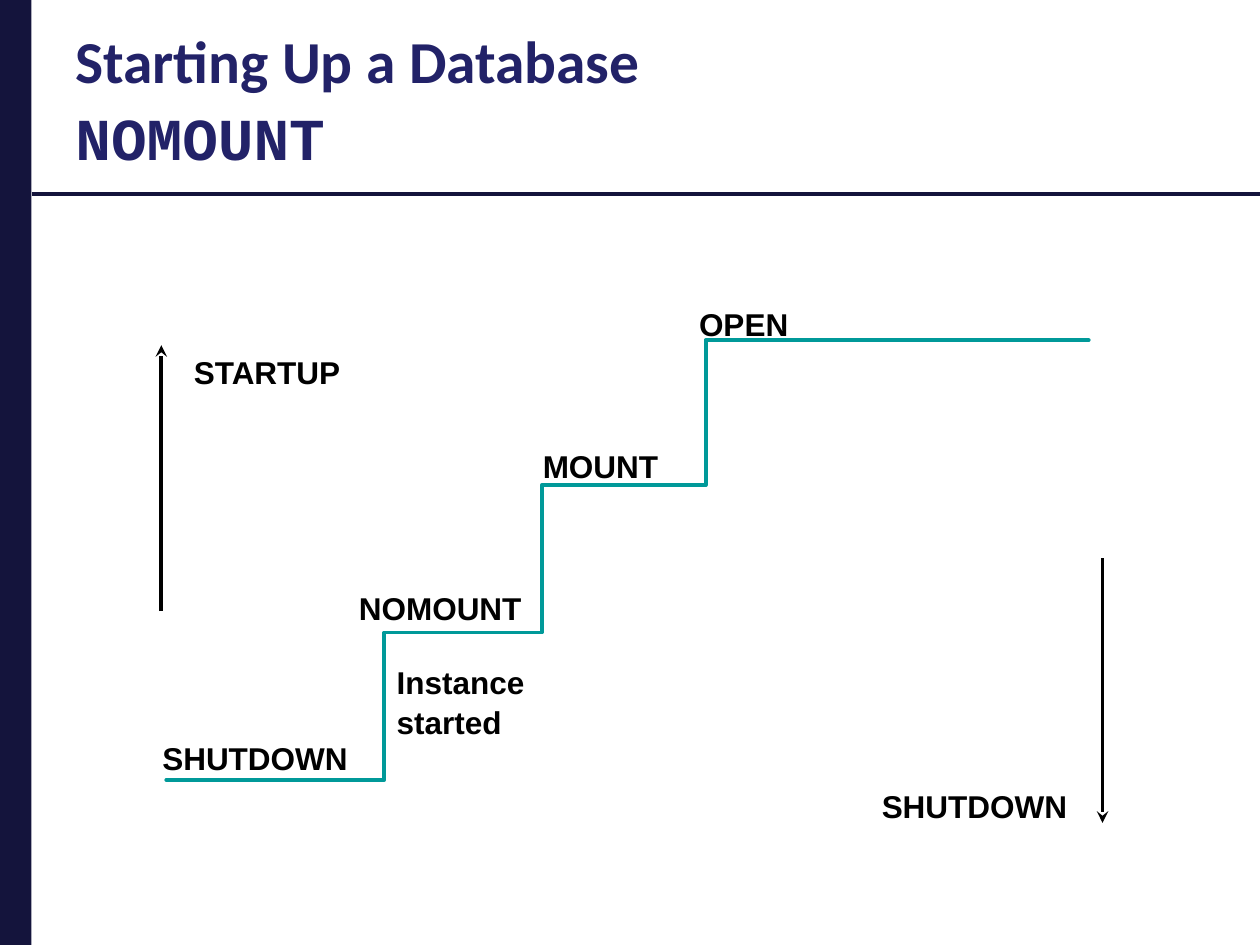
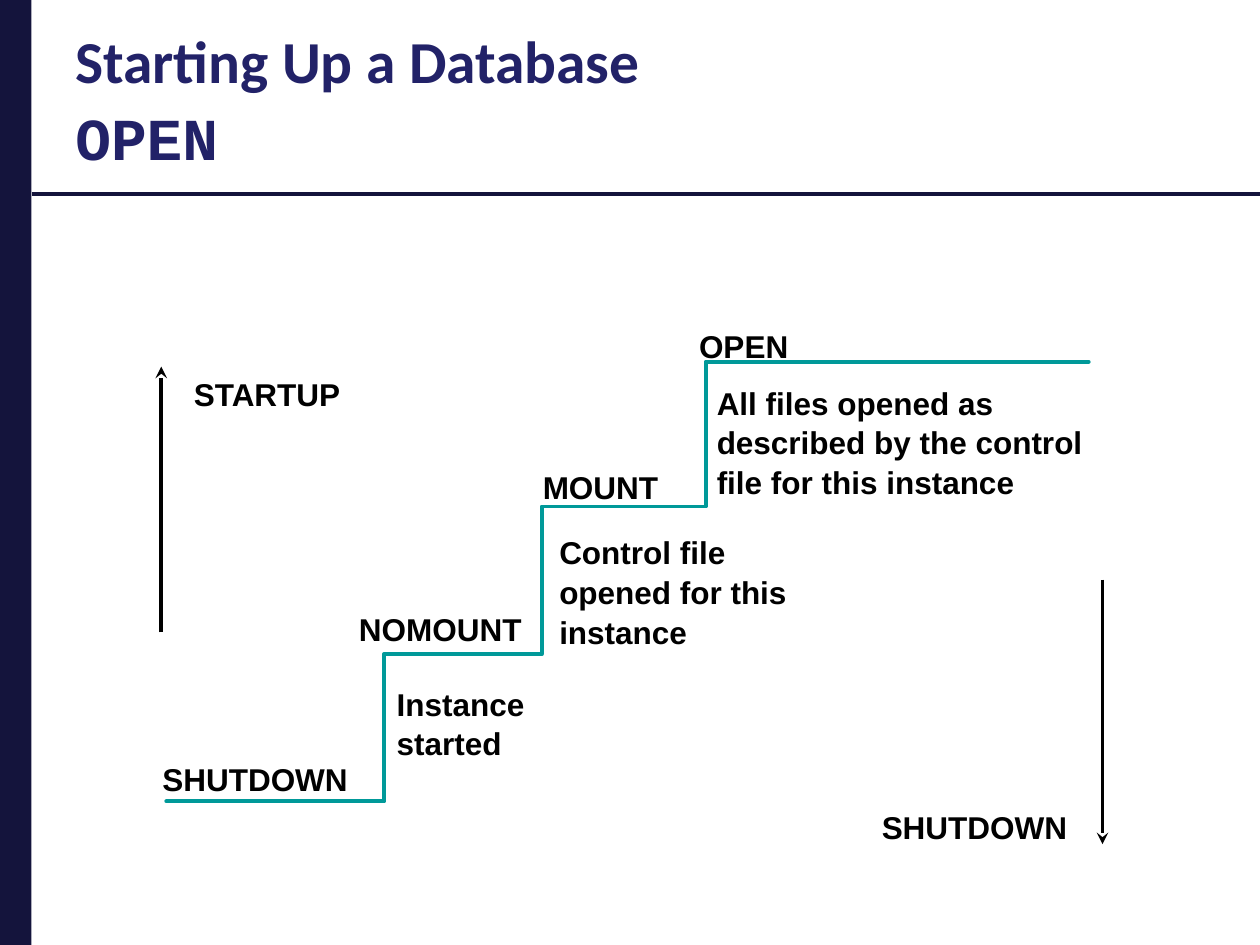
from dataclasses import dataclass

from lxml import etree
from pptx import Presentation
from pptx.dml.color import RGBColor
from pptx.enum.shapes import MSO_CONNECTOR, MSO_SHAPE
from pptx.enum.text import MSO_ANCHOR, MSO_AUTO_SIZE
from pptx.oxml.ns import qn
from pptx.util import Inches, Pt

STRAIGHT = MSO_CONNECTOR.STRAIGHT
RECTANGLE = MSO_SHAPE.RECTANGLE
TOP, MIDDLE = MSO_ANCHOR.TOP, MSO_ANCHOR.MIDDLE
FIT_SHAPE = MSO_AUTO_SIZE.SHAPE_TO_FIT_TEXT
NO_FIT = MSO_AUTO_SIZE.NONE

COLORS = {"frame": "14143C", "title": "222268", "stairs": "009999", "ink": "000000"}
LINE_WIDTH = Pt(2.25)
BAR_WIDTH, RULE_Y = 0.25, 1.54


@dataclass(frozen=True)
class Label:
    text: str
    left: float
    top: float
    width: float
    height: float = 0.4
    wrap: bool = True


@dataclass(frozen=True)
class Arrow:
    x: float
    start_y: float
    end_y: float


@dataclass(frozen=True)
class Stage:
    name: str
    shift: float  # distance the whole diagram moves down
    extra_width: float  # added to the two lower step labels
    notes: tuple[Label, ...]


# Diagram content, placed as on the first slide
STAIR_POINTS = [(1.32, 6.19), (3.05, 6.19), (3.05, 5.02), (4.3, 5.02),
                (4.3, 3.85), (5.6, 3.85), (5.6, 2.7), (8.64, 2.7)]
UPPER_STEPS = (Label("OPEN", 5.45, 2.36, 1.3), Label("MOUNT", 4.21, 3.48, 1.63))
LOWER_STEPS = (Label("NOMOUNT", 2.75, 4.61, 1.58), Label("SHUTDOWN", 1.19, 5.8, 1.81))
DIRECTIONS = (Label("STARTUP", 1.44, 2.74, 1.38, wrap=False),
              Label("SHUTDOWN", 6.9, 6.18, 1.67, wrap=False))
ARROWS = (Arrow(8.75, 4.43, 6.53), Arrow(1.28, 4.85, 2.74))

INSTANCE_NOTE = Label("Instance\nstarted", 3.05, 5.2, 1.89, 0.7)
CONTROL_NOTE = Label("Control file opened for this instance", 4.34, 4, 2.05, 1)
FILES_NOTE = Label("All files opened as described by the control file for this instance",
                   5.59, 2.81, 3.22, 1)
STAGES = (
    Stage("NOMOUNT", 0, 0.65, (INSTANCE_NOTE,)),
    Stage("OPEN", 0.17, 0, (FILES_NOTE, CONTROL_NOTE, INSTANCE_NOTE)),
)


def rgb(name: str) -> RGBColor:
    return RGBColor.from_string(COLORS[name])


def add_text(slide, text: str, left: float, top: float, width: float, height: float, *,
             fonts: tuple[str, ...] = ("Arial",), size: float = 18, color: str = "ink",
             anchor=TOP, wrap: bool = True, fit=FIT_SHAPE, spacing: float = 1.05) -> None:
    """Write bold lines in one paragraph; the last font serves all further lines."""
    box = slide.shapes.add_textbox(Inches(left), Inches(top), Inches(width), Inches(height))
    frame = box.text_frame
    frame.word_wrap, frame.auto_size, frame.vertical_anchor = wrap, fit, anchor
    paragraph = frame.paragraphs[0]
    paragraph.line_spacing = spacing
    for index, line in enumerate(text.split("\n")):
        if index:
            paragraph.add_line_break()
        run = paragraph.add_run()
        run.text = line
        run.font.name = fonts[min(index, len(fonts) - 1)]
        run.font.size, run.font.bold = Pt(size), True
        run.font.color.rgb = rgb(color)


def add_line(slide, start: tuple[float, float], end: tuple[float, float],
             color: str, arrow: bool = False) -> None:
    connector = slide.shapes.add_connector(STRAIGHT, *map(Inches, start + end))
    connector.line.color.rgb = rgb(color)
    connector.line.width = LINE_WIDTH
    if arrow:
        etree.SubElement(connector.line._get_or_add_ln(), qn("a:tailEnd"), type="stealth")
    etree.SubElement(connector._element.spPr, qn("a:effectLst"))


def add_frame(slide, stage_name: str) -> None:
    # Side bar, rule and title
    bar = slide.shapes.add_shape(RECTANGLE, 0, 0, Inches(BAR_WIDTH), Inches(7.5))
    bar.shadow.inherit = False
    bar.fill.solid()
    bar.fill.fore_color.rgb = rgb("frame")
    bar.line.fill.background()
    add_line(slide, (BAR_WIDTH, RULE_Y), (10, RULE_Y), "frame")
    add_text(slide, f"Starting Up a Database\n{stage_name}", 0.5, 0.26, 8.25, 1,
             fonts=("Calibri", "Courier New"), size=34, color="title",
             anchor=MIDDLE, fit=NO_FIT, spacing=1.08)


def add_stairs(slide, shift: float) -> None:
    points = [(Inches(x), Inches(y + shift)) for x, y in STAIR_POINTS]
    builder = slide.shapes.build_freeform(*points[0])
    builder.add_line_segments(points[1:], close=False)
    stairs = builder.convert_to_shape()
    stairs.shadow.inherit = False
    stairs.fill.background()
    stairs.line.color.rgb = rgb("stairs")
    stairs.line.width = LINE_WIDTH
    outline = stairs.line._get_or_add_ln()
    outline.set("cap", "rnd")
    etree.SubElement(outline, qn("a:round"))


def add_labels(slide, labels: tuple[Label, ...], shift: float, extra_width: float = 0) -> None:
    for label in labels:
        add_text(slide, label.text, label.left, label.top + shift,
                 label.width + extra_width, label.height, wrap=label.wrap)


def add_stage(prs, stage: Stage) -> None:
    slide = prs.slides.add_slide(prs.slide_layouts[6])
    add_frame(slide, stage.name)
    add_stairs(slide, stage.shift)
    add_labels(slide, UPPER_STEPS, stage.shift)
    add_labels(slide, LOWER_STEPS, stage.shift, stage.extra_width)
    add_labels(slide, stage.notes + DIRECTIONS, stage.shift)
    for arrow in ARROWS:
        add_line(slide, (arrow.x, arrow.start_y + stage.shift),
                 (arrow.x, arrow.end_y + stage.shift), "ink", arrow=True)


def main() -> None:
    prs = Presentation()
    prs.slide_width, prs.slide_height = Inches(10), Inches(7.5)
    for stage in STAGES:
        add_stage(prs, stage)
    prs.save("out.pptx")


if __name__ == "__main__":
    main()
